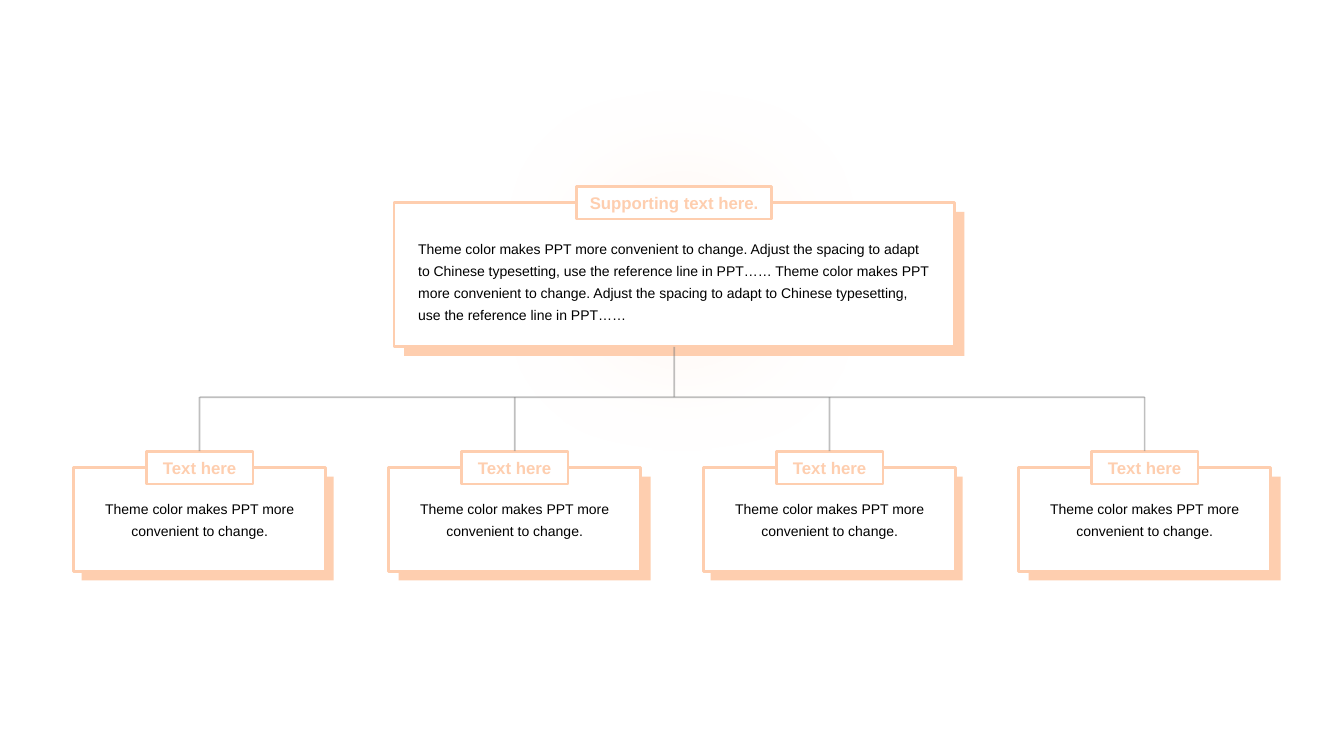
from lxml import etree
from pptx import Presentation
from pptx.dml.color import RGBColor
from pptx.enum import shapes, text
from pptx.oxml import ns
from pptx.util import Pt

# Content
ROOT = ("Supporting text here.",
        "Theme color makes PPT more convenient to change. Adjust the spacing to adapt "
        "to Chinese typesetting, use the reference line in PPT…… "
        "Theme color makes PPT more convenient to change. Adjust the spacing to adapt "
        "to Chinese typesetting, use the reference line in PPT……")
BRANCH = ("Text here", "Theme color makes PPT more convenient to change.")
BRANCH_SHADOW_SHIFTS = [5.8, 7.2, 5, 7.2]

# Style and layout, in points
PEACH, WHITE, BLACK, GREY = "FECEAF", "FFFFFF", "000000", "808080"
FONT = "Arial"
GLOW_LEFT, GLOW_TOP, GLOW_SIZE, GLOW_EDGE = 302.4, 8.6, 369.4, 100
ROOT_BOX = (281.5, 144.8, 400.2, 103)
BRANCH_LEFT, BRANCH_TOP, BRANCH_W, BRANCH_H = 52.6, 334, 180, 74
BRANCH_PITCH = 225
LABEL_H = 23.4
SHADOW_DROP = 6.5
BUS_Y = 283.7

prs = Presentation()
prs.slide_width, prs.slide_height = Pt(960), Pt(540)
slide = prs.slides.add_slide(prs.slide_layouts[6])


def paint(color_format, color, alpha=None):
    color_format.rgb = RGBColor.from_string(color)
    if alpha is not None:
        srgb = color_format._xFill.find(ns.qn("a:srgbClr"))
        etree.SubElement(srgb, ns.qn("a:alpha"), val=str(alpha * 1000))


def add_block(box, fill, outline=None, kind=shapes.MSO_SHAPE.RECTANGLE, alpha=None):
    block = slide.shapes.add_shape(kind, *map(Pt, box))
    block.shadow.inherit = False
    block.fill.solid()
    paint(block.fill.fore_color, fill, alpha)
    if outline:
        paint(block.line.color, outline)
        block.line.width = Pt(2)
    else:
        block.line.fill.background()
    return block


def write(shape, words, size, color, align, inset_y, wrap=True, bold=False, spacing=1.0):
    frame = shape.text_frame
    frame.word_wrap = wrap
    frame.margin_left = frame.margin_right = Pt(8.6)
    frame.margin_top = frame.margin_bottom = Pt(inset_y)
    paragraph = frame.paragraphs[0]
    paragraph.text = words
    paragraph.alignment = align
    paragraph.line_spacing = spacing
    font = paragraph.font
    font.name, font.size, font.bold = FONT, Pt(size), bold
    paint(font.color, color)


def add_line(x1, y1, x2, y2):
    line = slide.shapes.add_connector(shapes.MSO_CONNECTOR.STRAIGHT, *map(Pt, (x1, y1, x2, y2)))
    paint(line.line.color, GREY, 50)
    line.line.width = Pt(1.25)
    etree.SubElement(line._element.spPr, ns.qn("a:effectLst"))
    return line


def add_card(box, words, label_w, body_box, align, label_wrap=True):
    """Outlined card with body text and a label centred on its top edge."""
    left, top, width, _ = box
    heading, body = words
    card = add_block(box, WHITE, PEACH)
    body_w, body_drop, body_h = body_box
    body_text = slide.shapes.add_textbox(
        Pt(left + (width - body_w) / 2), Pt(top + body_drop), Pt(body_w), Pt(body_h))
    write(body_text, body, 10, BLACK, align, 8.6, spacing=1.3)
    label = add_block((left + (width - label_w) / 2, top - LABEL_H / 2, label_w, LABEL_H),
                      WHITE, PEACH)
    write(label, heading, 12, PEACH, text.PP_ALIGN.CENTER, 4.3, label_wrap, bold=True)
    label.text_frame.vertical_anchor = text.MSO_ANCHOR.MIDDLE
    return card, label


# Soft glow behind the diagram
glow = add_block((GLOW_LEFT, GLOW_TOP, GLOW_SIZE, GLOW_SIZE), PEACH,
                 kind=shapes.MSO_SHAPE.OVAL, alpha=35)
effects = glow._element.spPr.find(ns.qn("a:effectLst"))
etree.SubElement(effects, ns.qn("a:softEdge"), rad=str(Pt(GLOW_EDGE)))

# Offset shadows
branch_boxes = [(BRANCH_LEFT + i * BRANCH_PITCH, BRANCH_TOP, BRANCH_W, BRANCH_H)
                for i in range(len(BRANCH_SHADOW_SHIFTS))]
shifts = [7.2] + BRANCH_SHADOW_SHIFTS
for (left, top, width, height), shift in zip([ROOT_BOX] + branch_boxes, shifts):
    add_block((left + shift, top + SHADOW_DROP, width, height), PEACH)

# Horizontal bus
centers = [left + width / 2 for left, _, width, _ in branch_boxes]
add_line(centers[-1], BUS_Y, centers[0], BUS_Y)

# Root card and its trunk
root_card, _ = add_card(ROOT_BOX, ROOT, 139, (383, 15, 78.5),
                        text.PP_ALIGN.LEFT, label_wrap=False)
root_center = ROOT_BOX[0] + ROOT_BOX[2] / 2
trunk = add_line(root_center, ROOT_BOX[1] + ROOT_BOX[3], root_center, BUS_Y)
trunk.begin_connect(root_card, 2)

# Branch cards and their drops
for box, center in zip(branch_boxes, centers):
    _, branch_label = add_card(box, BRANCH, 76.4, (155.5, 11.6, 50), text.PP_ALIGN.CENTER)
    drop = add_line(center, BUS_Y, center, BRANCH_TOP - LABEL_H / 2)
    drop.end_connect(branch_label, 0)

prs.save("out.pptx")
